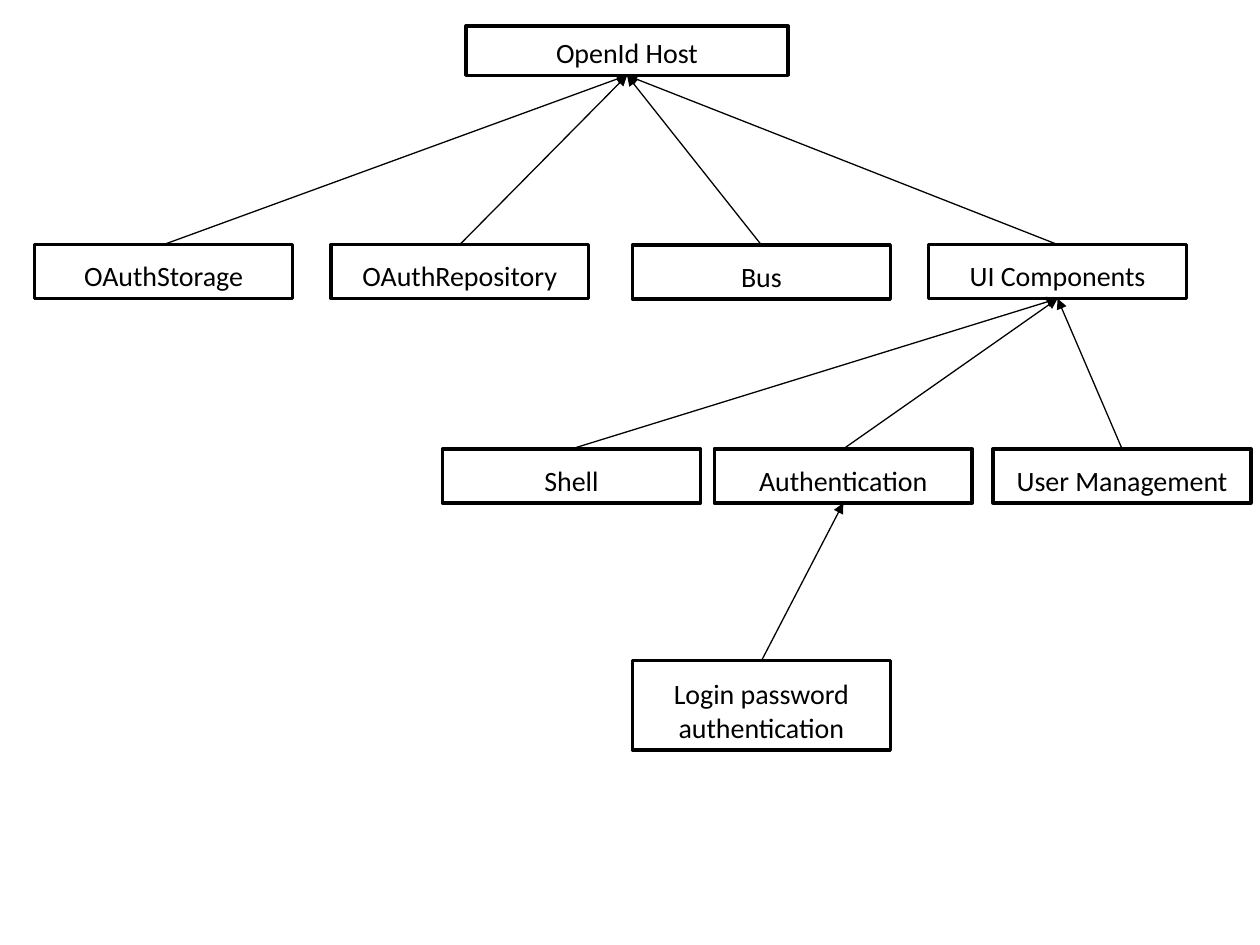
from lxml import etree
from pptx import Presentation
from pptx import util as u
from pptx.dml.color import RGBColor
from pptx.enum import shapes, text
from pptx.oxml.ns import qn


def paint(color_format, color):
    color_format.rgb = RGBColor.from_string(color)


INK = "000000"
COMPONENT_WIDTH = 5.2
COMPONENT_HEIGHT = 1.09
SERVICES_TOP = 4.93
SCREENS_TOP = 9.05

components = [
    ("OpenId Host", None, 9.39, 0.53, 6.5, 0.99),
    ("OAuthStorage", "OpenId Host", 0.7, SERVICES_TOP, COMPONENT_WIDTH, COMPONENT_HEIGHT),
    ("OAuthRepository", "OpenId Host", 6.67, SERVICES_TOP, COMPONENT_WIDTH, COMPONENT_HEIGHT),
    ("Bus", "OpenId Host", 12.75, 4.94, COMPONENT_WIDTH, COMPONENT_HEIGHT),
    ("UI Components", "OpenId Host", 18.72, SERVICES_TOP, COMPONENT_WIDTH, COMPONENT_HEIGHT),
    ("Shell", "UI Components", 8.92, SCREENS_TOP, COMPONENT_WIDTH, COMPONENT_HEIGHT),
    ("Authentication", "UI Components", 14.4, SCREENS_TOP, COMPONENT_WIDTH, COMPONENT_HEIGHT),
    ("User Management", "UI Components", 20.02, SCREENS_TOP, COMPONENT_WIDTH, COMPONENT_HEIGHT),
    ("Login password authentication", "Authentication", 12.75, 13.32, COMPONENT_WIDTH, 1.8),
]

deck = Presentation()
deck.slide_width = u.Cm(25.4)
deck.slide_height = u.Cm(19.05)
slide = deck.slides.add_slide(deck.slide_layouts[6])

placed = {}
for name, parent, left, top, width, height in components:
    component = slide.shapes.add_shape(
        shapes.MSO_SHAPE.RECTANGLE, u.Cm(left), u.Cm(top), u.Cm(width), u.Cm(height)
    )
    component.shadow.inherit = False
    component.fill.background()
    paint(component.line.color, INK)
    component.line.width = u.Pt(2)
    label = component.text_frame
    label.text = name
    label.word_wrap = True
    label.vertical_anchor = text.MSO_ANCHOR.BOTTOM
    label.paragraphs[0].alignment = text.PP_ALIGN.CENTER
    font = label.paragraphs[0].runs[0].font
    font.name = "Calibri"
    font.size = u.Pt(16)
    paint(font.color, INK)
    placed[name] = component

    if parent:
        dependency = slide.shapes.add_connector(shapes.MSO_CONNECTOR.STRAIGHT, 0, 0, 0, 0)
        dependency.begin_connect(component, 0)
        dependency.end_connect(placed[parent], 2)
        paint(dependency.line.color, INK)
        dependency.line.width = u.Pt(0.75)
        etree.SubElement(dependency.line._get_or_add_ln(), qn("a:tailEnd"), type="triangle")
        etree.SubElement(dependency._element.spPr, qn("a:effectLst"))

deck.save("out.pptx")
